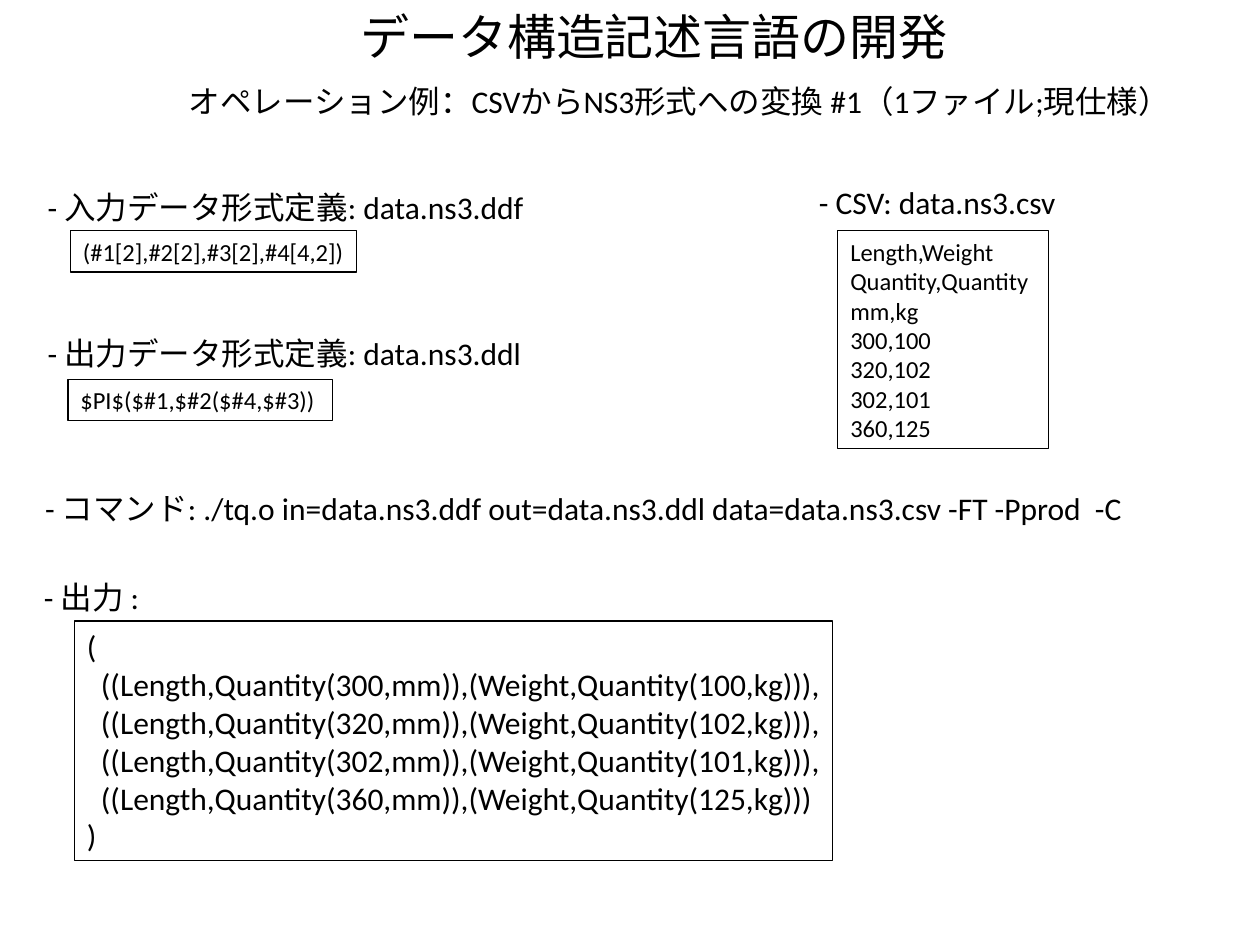
import pptx
import pptx.dml.color
import pptx.enum.shapes
import pptx.enum.text
import pptx.util

Inches = pptx.util.Inches
Pt = pptx.util.Pt

COLORS = {"ink": "000000"}
FONT = "Calibri"
LABEL_HEIGHT = 0.4

# The width leaves room for the whole title on one line.
TITLE = ("データ構造記述言語の開発", 2.76, 0, 5.2, 0.57)

# text, left, top, width
LABELS = [
    ("オペレーション例：CSVからNS3形式への変換 #1（1ファイル;現仕様）", 1.4, 0.6, 8.06),
    ("- 入力データ形式定義: data.ns3.ddf", 0.28, 1.44, 3.97),
    ("- CSV: data.ns3.csv", 6.4, 1.4, 2.08),
    ("- 出力データ形式定義: data.ns3.ddl", 0.28, 2.6, 3.96),
    ("- コマンド: ./tq.o in=data.ns3.ddf out=data.ns3.ddl "
     "data=data.ns3.csv -FT -Pprod  -C", 0.26, 3.83, 8.75),
    ("- 出力 : ", 0.25, 4.54, 1.08),
]

CSV_ROWS = ["Length,Weight", "Quantity,Quantity", "mm,kg",
            "300,100", "320,102", "302,101", "360,125"]
MEASUREMENTS = [row.split(",") for row in CSV_ROWS[3:]]
RECORDS = ",\n".join(
    f"  ((Length,Quantity({length},mm)),(Weight,Quantity({weight},kg)))"
    for length, weight in MEASUREMENTS)

# text, left, top, width, height, size, wrap
LISTINGS = [
    ("(#1[2],#2[2],#3[2],#4[4,2])", 0.56, 1.83, 2.27, 0.33, 14, True),
    ("$PI$($#1,$#2($#4,$#3))", 0.54, 3.01, 2.1, 0.33, 14, True),
    ("\n".join(CSV_ROWS), 6.65, 1.83, 1.67, 1.73, 14, True),
    (f"(\n{RECORDS}\n)", 0.59, 4.93, 6.02, 1.9, 18, False),
]


def ink():
    """Return the colour of text and outlines."""
    return pptx.dml.color.RGBColor.from_string(COLORS["ink"])


def write(shape, text, size, wrap=False):
    """Fill a shape with left-aligned text, one paragraph per line."""
    frame = shape.text_frame
    frame.text = text
    frame.word_wrap = wrap
    frame.auto_size = pptx.enum.text.MSO_AUTO_SIZE.NONE
    frame.vertical_anchor = pptx.enum.text.MSO_ANCHOR.TOP
    for paragraph in frame.paragraphs:
        paragraph.alignment = pptx.enum.text.PP_ALIGN.LEFT
        for span in paragraph.runs:
            span.font.name = FONT
            span.font.size = Pt(size)
            span.font.color.rgb = ink()


def add_title(page):
    """Place and format the title placeholder."""
    text, left, top, width, height = TITLE
    title = page.shapes.title
    title.left, title.top = Inches(left), Inches(top)
    title.width, title.height = Inches(width), Inches(height)
    write(title, text, 28)


def add_label(page, text, left, top, width):
    """Add a single-line heading."""
    box = page.shapes.add_textbox(
        Inches(left), Inches(top), Inches(width), Inches(LABEL_HEIGHT))
    write(box, text, 18)


def add_listing(page, text, left, top, width, height, size, wrap):
    """Add an outlined box of file or program text."""
    box = page.shapes.add_shape(
        pptx.enum.shapes.MSO_SHAPE.RECTANGLE,
        Inches(left), Inches(top), Inches(width), Inches(height))
    box.shadow.inherit = False
    box.fill.background()
    box.line.color.rgb = ink()
    box.line.width = Pt(0.75)
    write(box, text, size, wrap)


deck = pptx.Presentation()
deck.slide_width, deck.slide_height = Inches(10), Inches(7.5)
page = deck.slides.add_slide(deck.slide_layouts.get_by_name("Title Only"))
add_title(page)
for label in LABELS:
    add_label(page, *label)
for listing in LISTINGS:
    add_listing(page, *listing)
deck.save("out.pptx")
